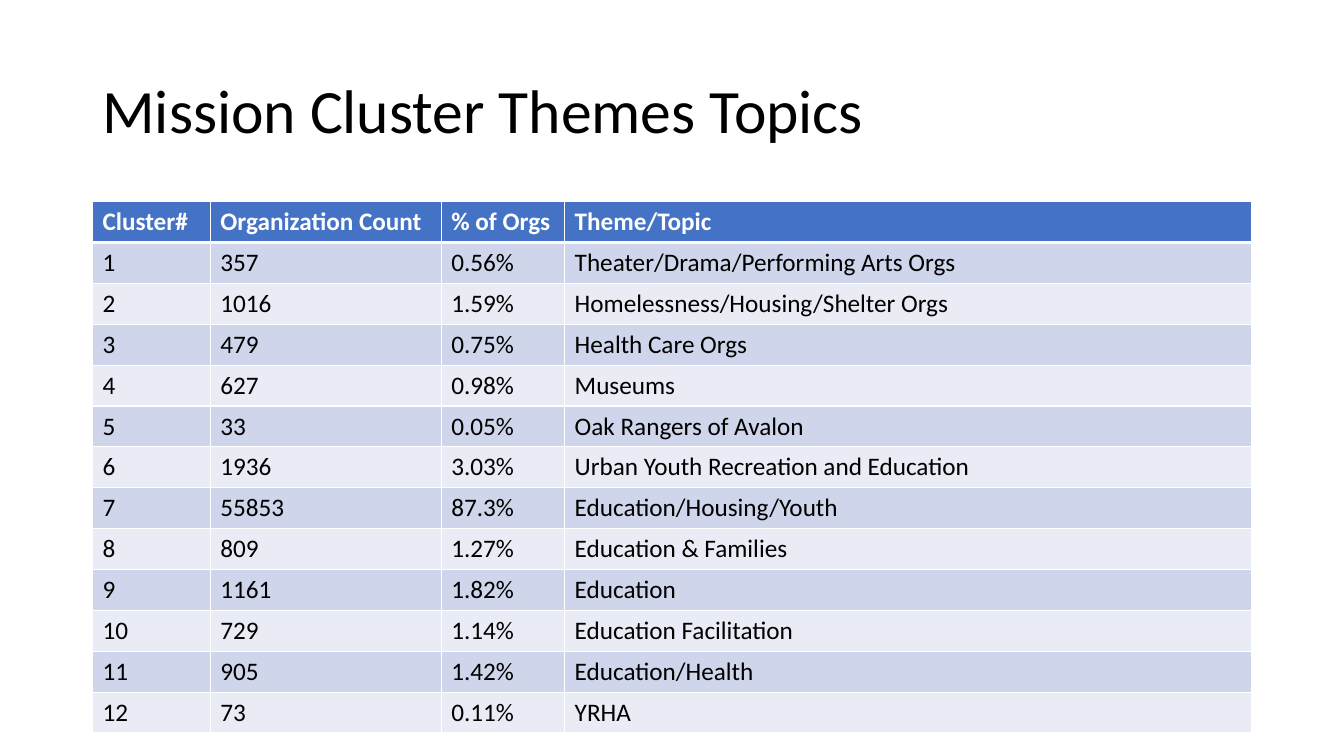
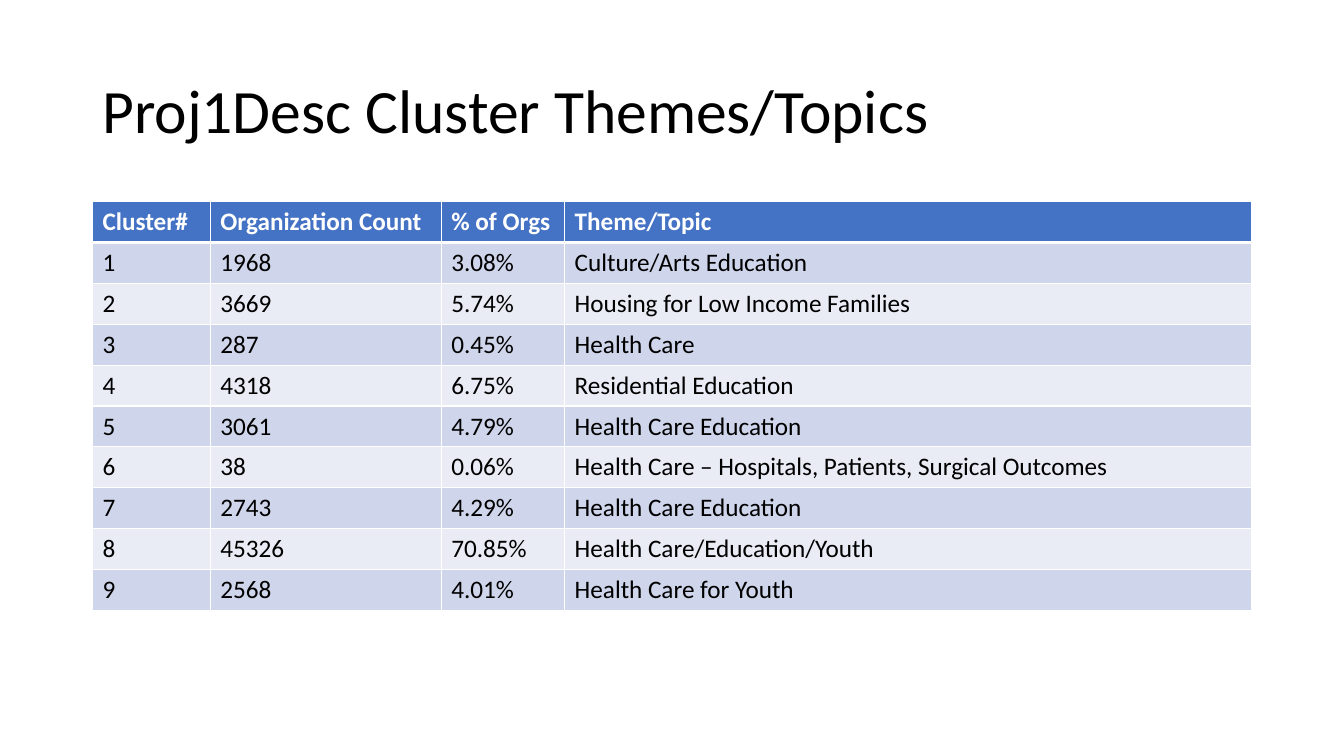
from dataclasses import dataclass

from lxml import etree
from pptx import Presentation
from pptx import util as u
from pptx.dml.color import RGBColor
from pptx.enum import text
from pptx.oxml import ns


@dataclass(frozen=True)
class Theme:
    font: str = "Calibri"
    title_size: int = 44
    table_size: int = 18
    ink: str = "000000"
    paper: str = "FFFFFF"
    header: str = "4472C4"
    bands: tuple = ("CFD5EA", "E9EBF5")
    thin: int = 1
    thick: int = 3


@dataclass(frozen=True)
class Box:
    left: int
    top: int
    width: int
    height: int


THEME = Theme()
SLIDE_WIDTH, SLIDE_HEIGHT = u.Cm(33.87), u.Cm(19.05)
TITLE_BOX = Box(u.Cm(2.33), u.Cm(1.01), u.Cm(29.21), u.Cm(3.68))
TABLE_TOP = u.Cm(5.08)
ROW_HEIGHT = u.Cm(1.03)
FIXED_COLUMNS = (u.Cm(2.97), u.Cm(5.82), u.Cm(3.11))
HEADINGS = ("Cluster#", "Organization Count", "% of Orgs", "Theme/Topic")

MISSION_CLUSTERS = (
    ("357", "0.56%", "Theater/Drama/Performing Arts Orgs"),
    ("1016", "1.59%", "Homelessness/Housing/Shelter Orgs"),
    ("479", "0.75%", "Health Care Orgs"),
    ("627", "0.98%", "Museums"),
    ("33", "0.05%", "Oak Rangers of Avalon"),
    ("1936", "3.03%", "Urban Youth Recreation and Education"),
    ("55853", "87.3%", "Education/Housing/Youth"),
    ("809", "1.27%", "Education & Families"),
    ("1161", "1.82%", "Education"),
    ("729", "1.14%", "Education Facilitation"),
    ("905", "1.42%", "Education/Health"),
    ("73", "0.11%", "YRHA"),
)
PROJECT_CLUSTERS = (
    ("1968", "3.08%", "Culture/Arts Education"),
    ("3669", "5.74%", "Housing for Low Income Families"),
    ("287", "0.45%", "Health Care"),
    ("4318", "6.75%", "Residential Education"),
    ("3061", "4.79%", "Health Care Education"),
    ("38", "0.06%", "Health Care – Hospitals, Patients, Surgical Outcomes"),
    ("2743", "4.29%", "Health Care Education"),
    ("45326", "70.85%", "Health Care/Education/Youth"),
    ("2568", "4.01%", "Health Care for Youth"),
)


def write(frame, words, size, color=THEME.ink, bold=False, spacing=None):
    para = frame.paragraphs[0]
    para.alignment = text.PP_ALIGN.LEFT
    if spacing is not None:
        para.line_spacing = spacing
    span = para.add_run()
    span.text = words
    span.font.name = THEME.font
    span.font.size = u.Pt(size)
    span.font.bold = bold
    span.font.color.rgb = RGBColor.from_string(color)


def add_title(page, box, words):
    shape = page.shapes.add_textbox(box.left, box.top, box.width, box.height)
    frame = shape.text_frame
    frame.word_wrap = True
    frame.vertical_anchor = text.MSO_ANCHOR.MIDDLE
    write(frame, words, THEME.title_size, spacing=0.9)


def style_cell(cell, fill, top, bottom):
    properties = cell._tc.get_or_add_tcPr()
    borders = {"L": THEME.thin, "R": THEME.thin, "T": top, "B": bottom}
    for side, points in borders.items():
        line = etree.SubElement(properties, ns.qn(f"a:ln{side}"), w=str(u.Pt(points)))
        solid = etree.SubElement(line, ns.qn("a:solidFill"))
        etree.SubElement(solid, ns.qn("a:srgbClr"), val=THEME.paper)
    cell.fill.solid()
    cell.fill.fore_color.rgb = RGBColor.from_string(fill)


def add_cluster_table(page, box, clusters):
    rows = [HEADINGS]
    rows += [(str(number), *cluster) for number, cluster in enumerate(clusters, 1)]
    table = page.shapes.add_table(
        len(rows), len(HEADINGS), box.left, box.top, box.width, box.height
    ).table
    widths = (*FIXED_COLUMNS, box.width - sum(FIXED_COLUMNS))
    for column, width in zip(table.columns, widths):
        column.width = width
    for index, values in enumerate(rows):
        table.rows[index].height = box.height // len(rows)
        is_header = index == 0
        fill = THEME.header if is_header else THEME.bands[(index - 1) % 2]
        color = THEME.paper if is_header else THEME.ink
        top = THEME.thick if index == 1 else THEME.thin
        bottom = THEME.thick if is_header else THEME.thin
        for cell, words in zip(table.rows[index].cells, values):
            style_cell(cell, fill, top, bottom)
            write(cell.text_frame, words, THEME.table_size, color, bold=is_header)


def add_cluster_slide(deck, title, clusters):
    page = deck.slides.add_slide(deck.slide_layouts[6])
    add_title(page, TITLE_BOX, title)
    height = ROW_HEIGHT * (len(clusters) + 1)
    table_box = Box(TITLE_BOX.left, TABLE_TOP, TITLE_BOX.width, height)
    add_cluster_table(page, table_box, clusters)


def main():
    deck = Presentation()
    deck.slide_width, deck.slide_height = SLIDE_WIDTH, SLIDE_HEIGHT
    add_cluster_slide(deck, "Mission Cluster Themes Topics", MISSION_CLUSTERS)
    add_cluster_slide(deck, "Proj1Desc Cluster Themes/Topics", PROJECT_CLUSTERS)
    deck.save("out.pptx")


main()
